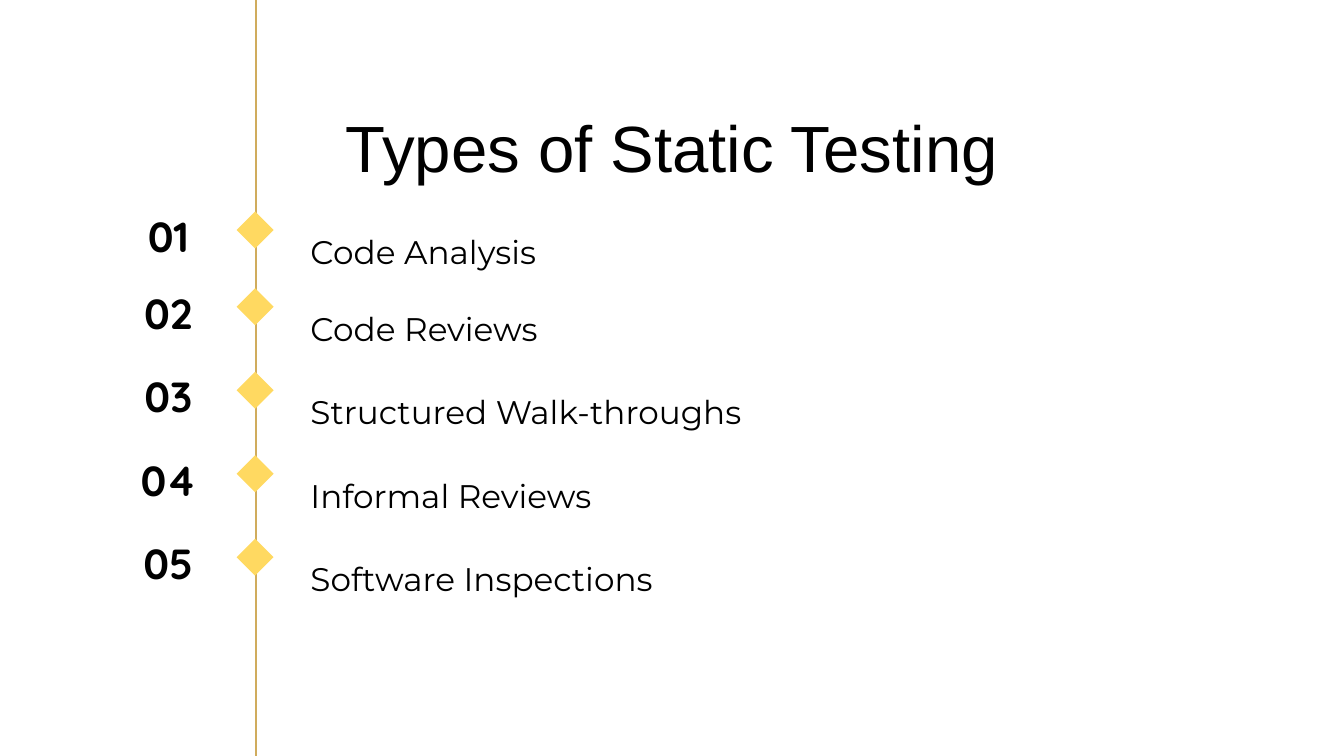
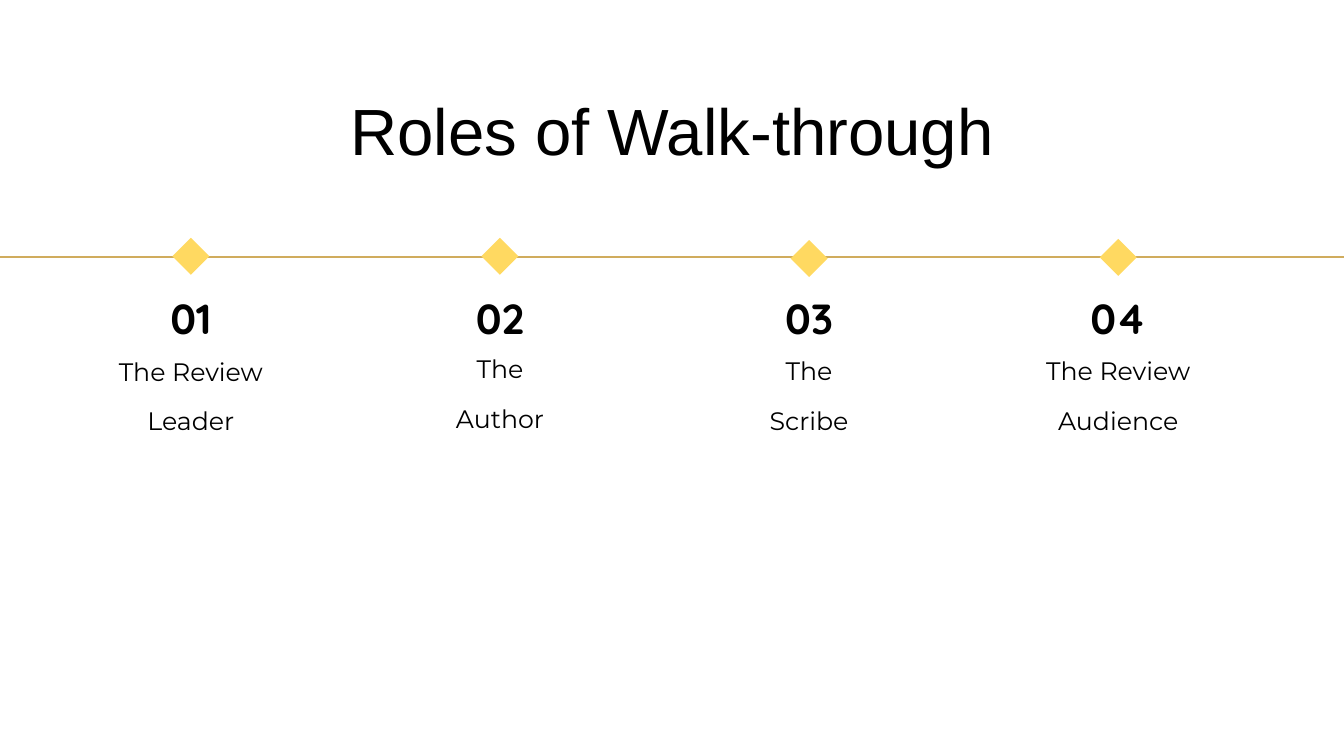
from lxml.etree import SubElement
from pptx import Presentation
from pptx.dml.color import RGBColor
from pptx.enum.shapes import MSO_CONNECTOR as Link, MSO_SHAPE as Shape
from pptx.enum.text import MSO_ANCHOR as Anchor, MSO_AUTO_SIZE as Fit, PP_ALIGN as Align
from pptx.oxml.ns import qn
from pptx.util import Inches, Pt

WIDE, HIGH = 20, 11.25
HUES = {"ink": "000000", "gem": "FFD961", "rail": "D0AC5D", "page": "FFFFFF"}
GEM = 0.55  # side of a marker, inches

# Text styles: font, size, bold, line spacing
HEAD = ("Arial", 70, False, 1.22)
COUNT = ("Quicksand", 45, True, 1.03)
ITEM = ("Montserrat", 35, False, 1.63)
ROLE = ("Montserrat", 27, False, 1.63)

# Row label and its width, in percent of the slide
TYPES = [("Code Analysis", 24), ("Code Reviews", 24),
         ("Structured Walk-throughs", 34.15), ("Informal Reviews", 34.15),
         ("Software Inspections", 34.15)]
# Role, text width, marker centre and text top, in percent of the slide
ROLES = [("The Review Leader", 14.3, 33.9, 44.62),
         ("The Author", 10.25, 33.9, 44.27),
         ("The Scribe", 8.5, 34.2, 44.53),
         ("The Review Audience", 13.2, 34.04, 44.53)]


def across(part):
    """Percent of the slide's width."""
    return Inches(WIDE * part / 100)


def down(part):
    """Percent of the slide's height."""
    return Inches(HIGH * part / 100)


def hue(name):
    return RGBColor.from_string(HUES[name])


def style(frame, text, look, align):
    """Fill a text frame with one paragraph in the given style."""
    frame.margin_left = frame.margin_right = 0
    frame.margin_top = frame.margin_bottom = 0
    frame.word_wrap, frame.auto_size = True, Fit.NONE
    frame.vertical_anchor = Anchor.TOP
    para = frame.paragraphs[0]
    para.text, para.alignment = text, align
    font = para.font
    font.name, font.size, font.bold = look[0], Pt(look[1]), look[2]
    font.color.rgb = hue("ink")
    para.line_spacing = look[3]


def add_page(deck, title, top):
    page = deck.slides.add_slide(deck.slide_layouts[5])
    page.background.fill.solid()
    page.background.fill.fore_color.rgb = hue("page")
    head = page.shapes.title
    head.left, head.top = across(19.4), down(top)
    head.width, head.height = across(61.2), down(11.02)
    style(head.text_frame, title, HEAD, Align.CENTER)
    return page


def add_text(page, text, look, left, top, width, height, align=Align.CENTER):
    box = page.shapes.add_textbox(across(left), down(top),
                                  across(width), down(height))
    style(box.text_frame, text, look, align)


def add_rail(page, start, end, weight):
    rail = page.shapes.add_connector(
        Link.STRAIGHT, across(start[0]), down(start[1]),
        across(end[0]), down(end[1]))
    rail.line.color.rgb = hue("rail")
    rail.line.width = Pt(weight)
    SubElement(rail._element.spPr, qn("a:effectLst"))


def add_gem(page, x, y):
    """Diamond marker centred on a point."""
    side = Inches(GEM)
    gem = page.shapes.add_shape(Shape.DIAMOND, across(x) - side // 2,
                                down(y) - side // 2, side, side)
    gem.shadow.inherit = False
    gem.fill.solid()
    gem.fill.fore_color.rgb = hue("gem")
    gem.line.fill.background()


def add_types(deck):
    page = add_page(deck, "Types of Static Testing", 11.9)
    add_rail(page, (19.05, 0), (19.05, 100), 3)
    # The first row stands a little closer to the even rows below it
    rows = [30.42] + [40.58 + 11.04 * i for i in range(len(TYPES) - 1)]
    for num, (y, (text, width)) in enumerate(zip(rows, TYPES), 1):
        add_gem(page, 18.98, y)
        add_text(page, f"{num:02}", COUNT, 10.2, y - 2.77, 4.65, 6.04)
        add_text(page, text, ITEM, 23.1, y - 3.03, width, 6.31, Align.LEFT)


def add_roles(deck):
    page = add_page(deck, "Roles of Walk-through", 9.6)
    add_rail(page, (0, 34.04), (100, 34.04), 2.25)
    for i, (text, width, y, top) in enumerate(ROLES):
        x = 14.2 + 23 * i
        add_gem(page, x, y)
        add_text(page, f"{i + 1:02}", COUNT, x - 2.3, 38.49, 4.6, 5.87)
        add_text(page, text, ROLE, x - width / 2, top, width, 10.4)


def main():
    deck = Presentation()
    deck.slide_width, deck.slide_height = Inches(WIDE), Inches(HIGH)
    add_types(deck)
    add_roles(deck)
    deck.save("out.pptx")


if __name__ == "__main__":
    main()
